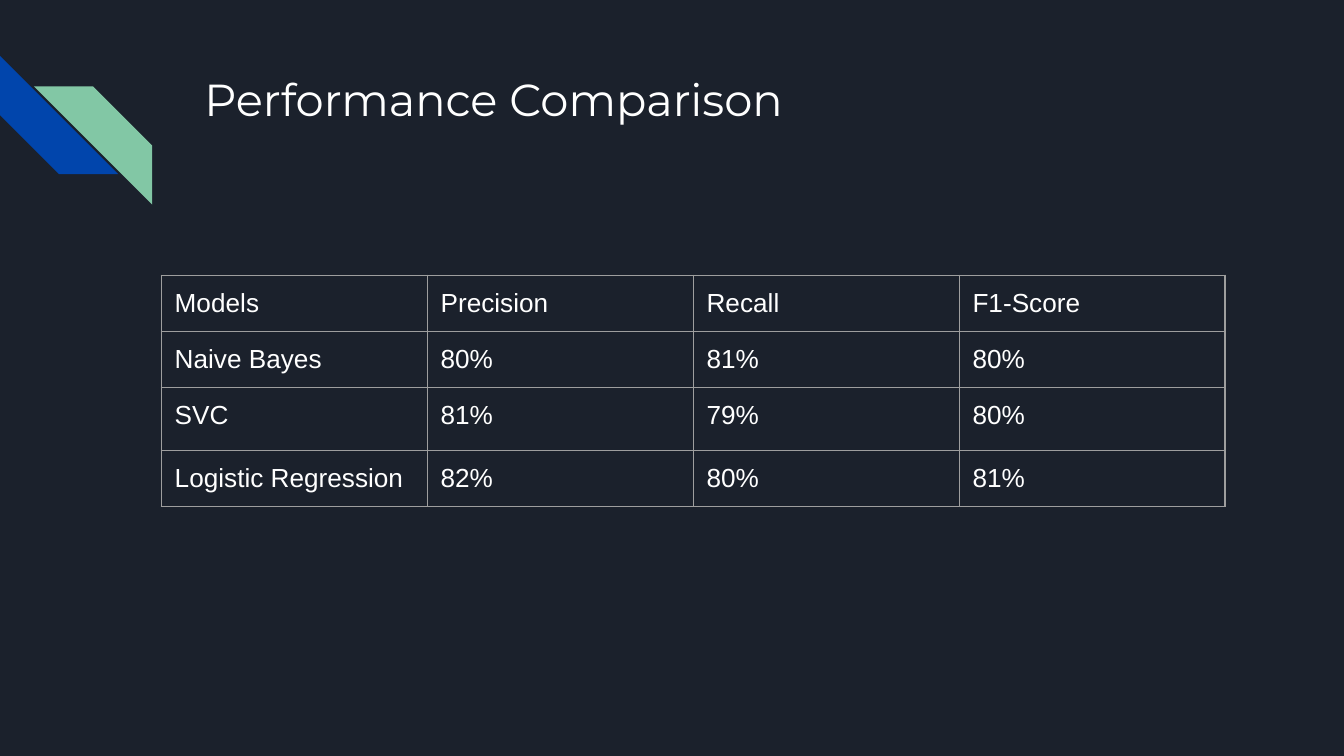
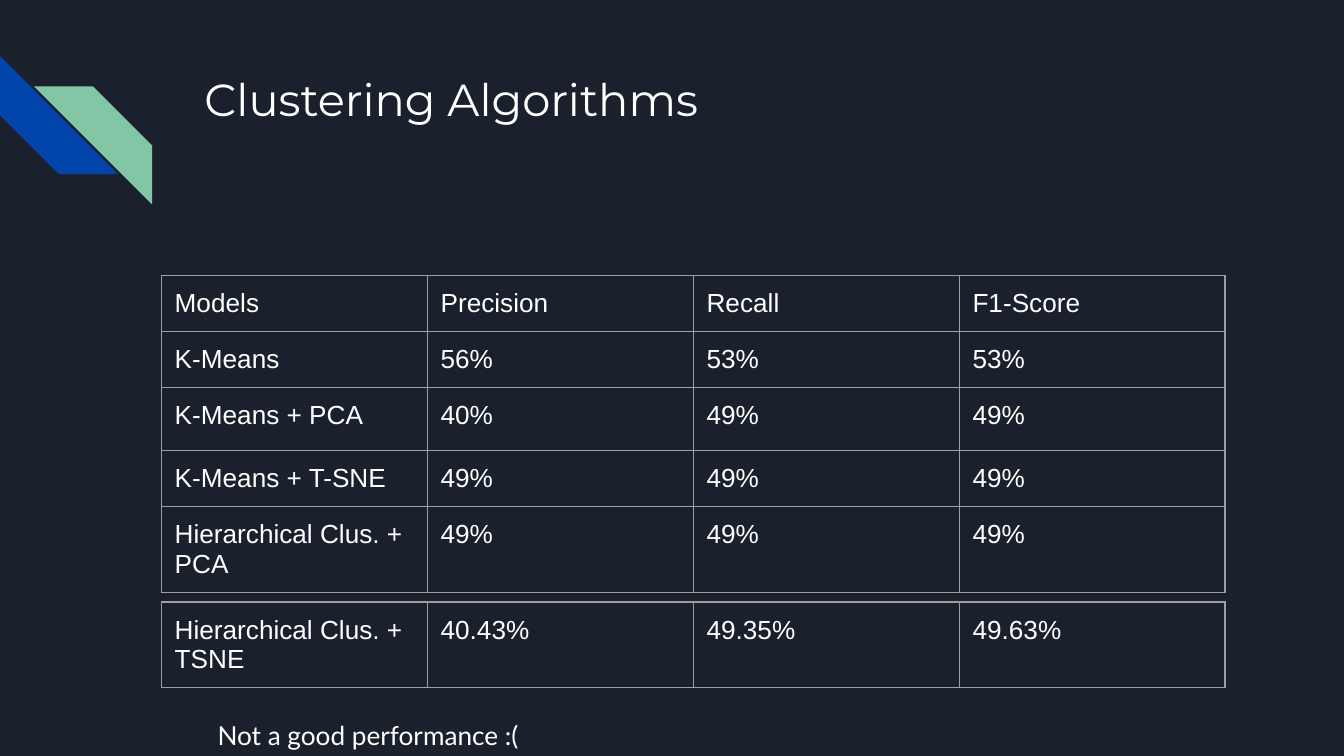
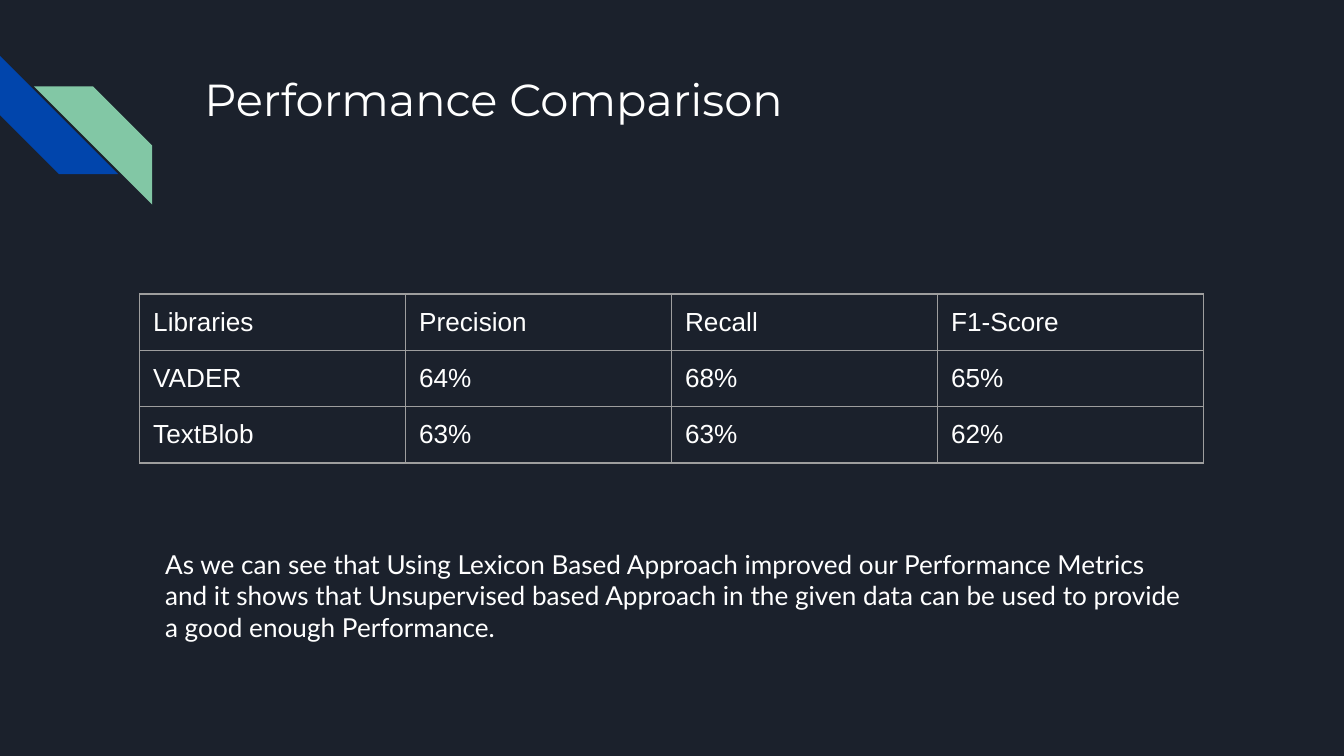
from lxml import etree
from pptx import Presentation
from pptx import util as u
from pptx.dml import color
from pptx.enum import shapes, text
from pptx.oxml import ns

COLORS = {"night": "1B212C", "blue": "0145AC", "mint": "82C7A5",
          "white": "FFFFFF", "grid": "9E9E9E"}
FONTS = {"title": "Montserrat", "table": "Arial", "note": "Lato"}
WIDTH = u.Inches(10)
HEIGHT = WIDTH * 9 // 16
INSET = u.Inches(0.1)
TITLE_BOX = (14.2, 7.64, 77, 17.8)
TABLE_COLUMN = 19.79
ROW, TALL_ROW, DOUBLE_ROW = 7.41, 8.3, 10.13
METRICS = ["Precision", "Recall", "F1-Score"]


def across(percent):
    return u.Emu(round(WIDTH * percent / 100))


def down(percent):
    return u.Emu(round(HEIGHT * percent / 100))


def place(box):
    left, top, width, height = box
    return across(left), down(top), across(width), down(height)


def rgb(name):
    return color.RGBColor.from_string(COLORS[name])


def write(frame, words, font, size):
    frame.text = words
    frame.word_wrap = True
    frame.vertical_anchor = text.MSO_ANCHOR.TOP
    frame.margin_left = frame.margin_right = INSET
    frame.margin_top = frame.margin_bottom = INSET
    for paragraph in frame.paragraphs:
        paragraph.alignment = text.PP_ALIGN.LEFT
        for run in paragraph.runs:
            run.font.name = FONTS[font]
            run.font.size = u.Pt(size)
            run.font.color.rgb = rgb("white")


def add_stripe(slide, left, top, fill):
    side = across(8.8)
    stripe = slide.shapes.add_shape(shapes.MSO_SHAPE.DIAGONAL_STRIPE,
                                    across(left), down(top), side, side)
    stripe.adjustments[0] = 0.5
    stripe.shadow.inherit = False
    stripe.fill.solid()
    stripe.fill.fore_color.rgb = rgb(fill)
    stripe.line.fill.background()
    return stripe


def style_layout(layout, slide):
    background = layout.background.fill
    background.solid()
    background.fore_color.rgb = rgb("night")
    blue = add_stripe(slide, 0, 7.4, "blue")
    blue.rotation = 270
    mint = add_stripe(slide, 2.53, 11.43, "mint")
    mint.element.spPr.get_or_add_xfrm().set("flipH", "1")
    for stripe in (blue, mint):
        layout.shapes.element.append(stripe.element)


def add_title(slide, words):
    title = slide.shapes.title
    title.left, title.top, title.width, title.height = place(TITLE_BOX)
    write(title.text_frame, words, "title", 24)
    title.text_frame.auto_size = text.MSO_AUTO_SIZE.NONE


def add_borders(cell):
    cell_properties = cell._tc.get_or_add_tcPr()
    for order, side in enumerate(("lnL", "lnR", "lnT", "lnB")):
        border = etree.Element(ns.qn(f"a:{side}"), w=str(u.Pt(0.75)))
        fill = etree.SubElement(border, ns.qn("a:solidFill"))
        etree.SubElement(fill, ns.qn("a:srgbClr"), val=COLORS["grid"])
        cell_properties.insert(order, border)


def add_scores(slide, left, top, rows, heights):
    columns = len(rows[0])
    box = (left, top, TABLE_COLUMN * columns, sum(heights))
    scores = slide.shapes.add_table(len(rows), columns, *place(box)).table
    scores.first_row = scores.horz_banding = False
    for column in scores.columns:
        column.width = across(TABLE_COLUMN)
    for row, height, values in zip(scores.rows, heights, rows):
        row.height = down(height)
        for cell, value in zip(row.cells, values):
            write(cell.text_frame, value, "table", 14)
            cell.margin_left = cell.margin_right = INSET
            cell.margin_top = cell.margin_bottom = INSET
            cell.vertical_anchor = text.MSO_ANCHOR.TOP
            cell.fill.background()
            add_borders(cell)


def add_note(slide, box, words):
    note = slide.shapes.add_textbox(*place(box))
    write(note.text_frame, words, "note", 14)
    note.text_frame.auto_size = text.MSO_AUTO_SIZE.SHAPE_TO_FIT_TEXT


def fill_models(slide):
    add_title(slide, "Performance Comparison")
    add_scores(slide, 12, 36.4, [
        ["Models", *METRICS],
        ["Naive Bayes", "80%", "81%", "80%"],
        ["SVC", "81%", "79%", "80%"],
        ["Logistic Regression", "82%", "80%", "81%"],
    ], [ROW, ROW, TALL_ROW, ROW])


def fill_clustering(slide):
    add_title(slide, "Clustering Algorithms")
    add_scores(slide, 12, 36.4, [
        ["Models", *METRICS],
        ["K-Means", "56%", "53%", "53%"],
        ["K-Means + PCA", "40%", "49%", "49%"],
        ["K-Means + T-SNE", "49%", "49%", "49%"],
        ["Hierarchical Clus. + PCA", "49%", "49%", "49%"],
    ], [ROW, ROW, TALL_ROW, ROW, ROW])
    add_scores(slide, 12, 79.64, [
        ["Hierarchical Clus. + TSNE", "40.43%", "49.35%", "49.63%"],
    ], [DOUBLE_ROW])
    add_note(slide, (15.2, 93.33, 69.1, 7.82), "Not a good performance :(")


def fill_libraries(slide):
    add_title(slide, "Performance Comparison")
    add_scores(slide, 10.4, 38.9, [
        ["Libraries", *METRICS],
        ["VADER", "64%", "68%", "65%"],
        ["TextBlob", "63%", "63%", "62%"],
    ], [ROW] * 3)
    add_note(slide, (11.3, 70.76, 78.2, 16.18),
             "As we can see that Using Lexicon Based Approach improved our "
             "Performance Metrics and it shows that Unsupervised based "
             "Approach in the given data can be used to provide a good "
             "enough Performance.")


def main():
    deck = Presentation()
    deck.slide_width, deck.slide_height = WIDTH, HEIGHT
    layout = deck.slide_layouts.get_by_name("Title Only")
    fillers = (fill_models, fill_clustering, fill_libraries)
    slides = [deck.slides.add_slide(layout) for _ in fillers]
    style_layout(layout, slides[0])
    for slide, fill_slide in zip(slides, fillers):
        fill_slide(slide)
    deck.save("out.pptx")


if __name__ == "__main__":
    main()
